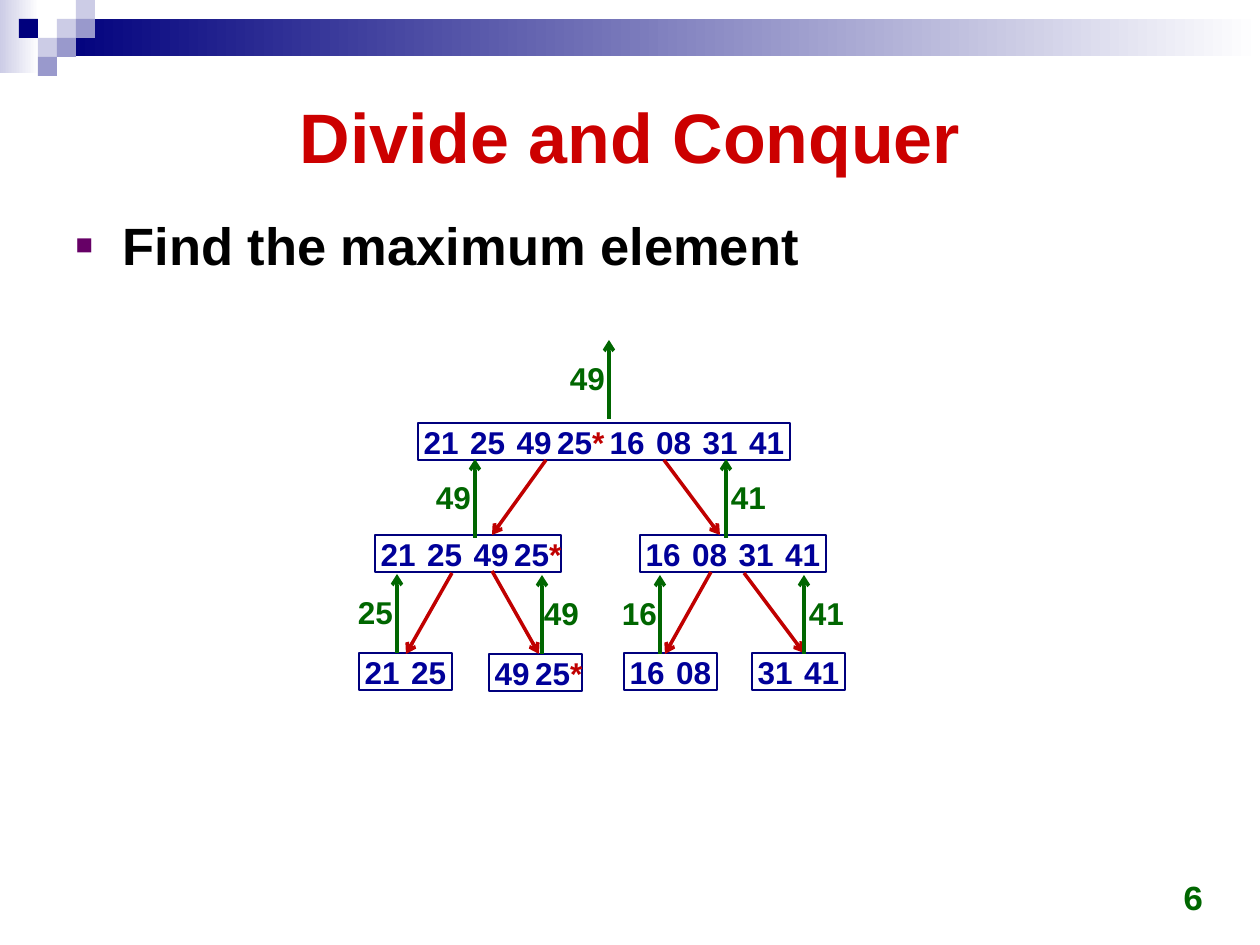
from lxml import etree
from pptx import Presentation
from pptx.dml.color import RGBColor
from pptx.enum.shapes import MSO_CONNECTOR, MSO_SHAPE
from pptx.enum.text import MSO_ANCHOR, PP_ALIGN
from pptx.oxml.ns import qn
from pptx.util import Emu, Pt

RECT = MSO_SHAPE.RECTANGLE
LINE = MSO_CONNECTOR.STRAIGHT
MID, LOW = MSO_ANCHOR.MIDDLE, MSO_ANCHOR.BOTTOM
MID_X, RIGHT, FULL = PP_ALIGN.CENTER, PP_ALIGN.RIGHT, PP_ALIGN.JUSTIFY

INK = {
    "navy": "00007D", "pale": "CCCCE6", "lilac": "9999CC", "white": "FFFFFF",
    "title": "CC0000", "black": "000000", "bullet": "660066",
    "blue": "000099", "red": "C00000", "green": "006600",
}
RGB = {name: RGBColor.from_string(code) for name, code in INK.items()}


def px(*sizes):
    """Turn px at 126 to the inch into EMU."""
    return [Emu(round(size * 914400 / 126)) for size in sizes]


def style(para, size, color, align, face="Arial"):
    para.alignment = align
    font = para.font
    font.name, font.size, font.bold = face, Pt(size), True
    font.color.rgb = RGB[color]


deck = Presentation()
deck.slide_width, deck.slide_height = px(1260, 945)
slide = deck.slides.add_slide(deck.slide_layouts[1])
shapes = slide.shapes

# Fading bands at the top
for area, color in [((0, 0, 39, 73), "pale"), ((57, 19, 1203, 37), "navy")]:
    band = shapes.add_shape(RECT, *px(*area))
    band.shadow.inherit = False
    band.line.fill.background()
    band.fill.gradient()
    band.fill.gradient_angle = 0
    for stop, shade in zip(band.fill.gradient_stops, (color, "white")):
        stop.color.rgb = RGB[shade]

# Small squares on a grid
SIDE = 19
for col, row, color in [
    (3, 1, "pale"), (4, 0, "pale"), (4, 1, "lilac"), (2, 2, "pale"),
    (1, 1, "navy"), (3, 2, "lilac"), (2, 3, "lilac"),
]:
    tile = shapes.add_shape(RECT, *px(col * SIDE, row * SIDE, SIDE, SIDE))
    tile.shadow.inherit = False
    tile.line.fill.background()
    tile.fill.solid()
    tile.fill.fore_color.rgb = RGB[color]

# Title
title = shapes.title
title.left, title.top, title.width, title.height = px(63, 63, 1134, 146)
title.text_frame.text = "Divide and Conquer"
title.text_frame.vertical_anchor = MID
style(title.text_frame.paragraphs[0], 40, "title", MID_X)

# Bullet list
body = slide.placeholders[1]
body.left, body.top, body.width, body.height = px(63, 204, 1134, 655)
body.text_frame.text = "Find the maximum element"
item = body.text_frame.paragraphs[0]
item.line_spacing = 1.05
item.space_before = Pt(0)
props = item._p.get_or_add_pPr()
props.set("marL", str(px(47)[0]))
props.set("indent", str(px(-47)[0]))
hue = etree.SubElement(props, qn("a:buClr"))
etree.SubElement(hue, qn("a:srgbClr"), val=INK["bullet"])
etree.SubElement(props, qn("a:buSzPct"), val="55000")
etree.SubElement(props, qn("a:buFont"), typeface="Arial")
etree.SubElement(props, qn("a:buChar"), char="■")
style(item, 30, "black", FULL)

# Page number
page = shapes.add_textbox(*px(922, 861, 294, 63)).text_frame
page.word_wrap = True
page.vertical_anchor = LOW
page.text = "6"
style(page.paragraphs[0], 20, "green", RIGHT, "Courier New")

# Tree nodes: a frame with one cell for each number.
# Cells reach past their slot by PAD on both sides, so "25*" stays on one line.
CELL, TALL, PAD = 46.5, 37, 3
for left, top, row in [
    (418, 423, "21 25 49 25* 16 08 31 41"),
    (375, 535, "21 25 49 25*"), (640, 535, "16 08 31 41"),
    (359, 653, "21 25"), (489, 654, "49 25*"),
    (624, 653, "16 08"), (752, 653, "31 41"),
]:
    nums = row.split()
    node = shapes.add_group_shape().shapes
    frame = node.add_shape(RECT, *px(left, top, CELL * len(nums), TALL))
    frame.shadow.inherit = False
    frame.fill.background()
    frame.line.color.rgb = RGB["navy"]
    frame.line.width = Pt(1)
    for i, num in enumerate(nums):
        spot = px(left + i * CELL - PAD, top, CELL + 2 * PAD, TALL)
        cell = node.add_textbox(*spot).text_frame
        cell.word_wrap = False
        cell.vertical_anchor = MID
        cell.margin_left = cell.margin_right = 0
        cell.margin_top = cell.margin_bottom = 0
        para = cell.paragraphs[0]
        style(para, 18, "blue", MID_X)
        para.add_run().text = num[:2]
        if num.endswith("*"):
            star = para.add_run()
            star.text = "*"
            star.font.color.rgb = RGB["red"]

# Arrows down for the split
arrows = [(ends, "red") for ends in [
    (546, 460, 492, 535), (664, 460, 720, 535),
    (452, 573, 406, 654), (492, 571, 539, 654),
    (711, 572, 665, 654), (744, 573, 804, 653),
]]

# Results passed back up: arrow x and tip, label left and text
RISE = 79
for x, tip, left, text in [
    (397, 574, 345, "25"), (542, 575, 531, "49"),
    (660, 575, 609, "16"), (804, 575, 796, "41"),
    (475, 459, 423, "49"), (726, 459, 718, "41"),
    (609, 340, 557, "49"),
]:
    arrows.append(((x, tip + RISE, x, tip), "green"))
    label = shapes.add_textbox(*px(left, tip + 13, 61, 51)).text_frame
    label.word_wrap = False
    label.text = text
    style(label.paragraphs[0], 18, "green", MID_X)

for ends, color in arrows:
    arrow = shapes.add_connector(LINE, *px(*ends))
    arrow.line.color.rgb = RGB[color]
    arrow.line.width = Pt(2)
    etree.SubElement(arrow.line._get_or_add_ln(), qn("a:tailEnd"), type="arrow")
    etree.SubElement(arrow._element.spPr, qn("a:effectLst"))

deck.save("out.pptx")
